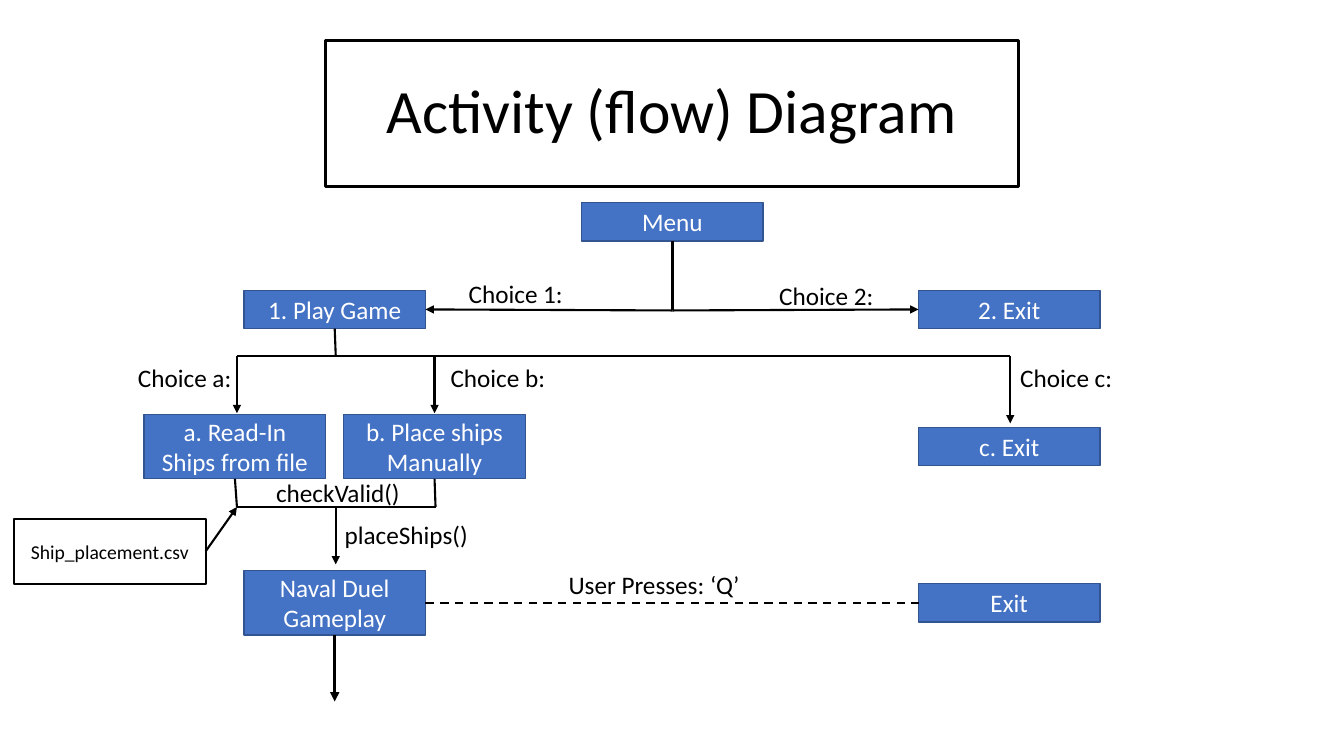
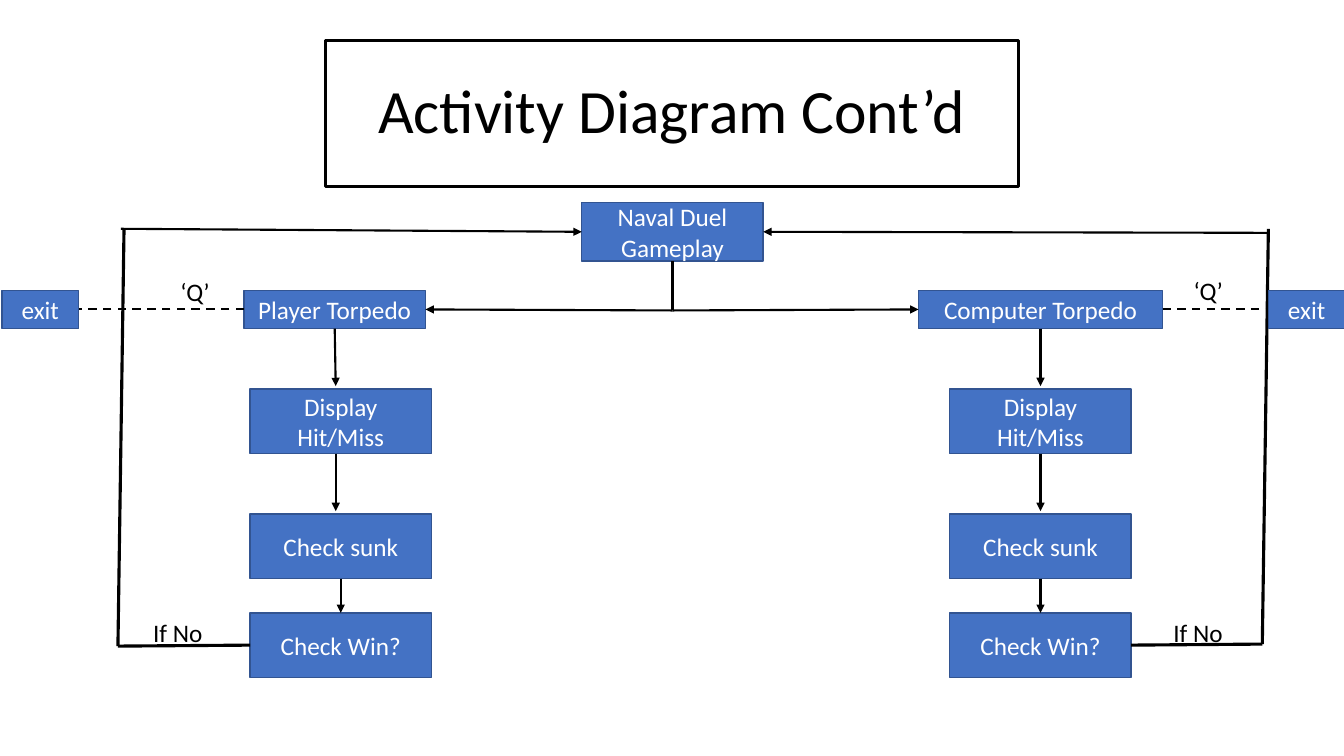
from lxml.etree import SubElement as Sub
from pptx import Presentation
from pptx.dml.color import RGBColor as RGB
from pptx.enum.dml import MSO_LINE as Dash
from pptx.enum.shapes import MSO_CONNECTOR as Conn, MSO_SHAPE as Kind
from pptx.enum.text import MSO_ANCHOR as Anchor, MSO_AUTO_SIZE as Auto, PP_ALIGN as Align
from pptx.oxml.ns import qn
from pptx.util import Inches, Pt

HEX = {"ink": "000000", "fill": "4472C4", "edge": "325491", "pale": "FFFFFF"}
FONT = "Calibri"
WIDE, LOW, TALL = 1.8, 0.38, 0.64  # box width, one-line and two-line heights
TOP, BOTTOM = 0, 2
LEFT, RIGHT = 1, 3
MID = 6.67
FORK = (MID, 3.08)


def tint(name):
    return RGB.from_string(HEX[name])


def style(part, size, color="ink"):
    part.font.name = FONT
    part.font.size = Pt(size)
    part.font.color.rgb = tint(color)


def edge(line, color, width):
    line.color.rgb = tint(color)
    line.width = Pt(width)


# Slide with a framed title
def page(deck, text):
    slide = deck.slides.add_slide(deck.slide_layouts[5])
    title = slide.shapes.title
    title.left, title.top = Inches(3.23), Inches(0.4)
    title.width, title.height = Inches(6.87), Inches(1.45)
    edge(title.line, "ink", 2.25)
    frame = title.text_frame
    frame.text = text
    frame.auto_size = Auto.NONE
    frame.vertical_anchor = Anchor.MIDDLE
    part = frame.paragraphs[0]
    part.alignment = Align.CENTER
    part.line_spacing = 0.9
    style(part, 44)
    return slide


# Step of the flow; a plain one is a white data file
def box(slide, text, x, y, w=WIDE, h=LOW, plain=False):
    shape = slide.shapes.add_shape(Kind.RECTANGLE, Inches(x), Inches(y), Inches(w), Inches(h))
    shape.shadow.inherit = False
    if plain:
        shape.fill.background()
        edge(shape.line, "ink", 1.5)
    else:
        shape.fill.solid()
        shape.fill.fore_color.rgb = tint("fill")
        edge(shape.line, "edge", 1)
    frame = shape.text_frame
    frame.text = text
    frame.word_wrap = True
    frame.vertical_anchor = Anchor.MIDDLE
    part = frame.paragraphs[0]
    part.alignment = Align.CENTER
    style(part, 14 if plain else 18, "ink" if plain else "pale")
    return shape


# Free label beside a line
def label(slide, text, x, y, w):
    note = slide.shapes.add_textbox(Inches(x), Inches(y), Inches(w), Inches(0.4))
    frame = note.text_frame
    frame.text = text
    frame.word_wrap = False
    frame.auto_size = Auto.SHAPE_TO_FIT_TEXT
    style(frame.paragraphs[0], 18)


# Line between two ends; an end is a point (x, y) or a (box, side) pair
def link(slide, start, end, head=False, dash=False, width=1.5):
    ends = [e if isinstance(e[0], (int, float)) else None for e in (start, end)]
    spots = [Inches(v) for e in ends for v in (e or (0, 0))]
    line = slide.shapes.add_connector(Conn.STRAIGHT, *spots)
    if ends[0] is None:
        line.begin_connect(*start)
    if ends[1] is None:
        line.end_connect(*end)
    edge(line.line, "ink", width)
    if dash:
        line.line.dash_style = Dash.DASH
    if head:
        Sub(line.line._get_or_add_ln(), qn("a:tailEnd"), type="triangle")
    Sub(line._element.spPr, qn("a:effectLst"))


# Stem from the top box that parts to both sides
def fork(slide, hub, left, right):
    link(slide, (hub, BOTTOM), FORK)
    link(slide, FORK, (left, RIGHT), head=True)
    link(slide, FORK, (right, LEFT), head=True)


def menu(deck):
    slide = page(deck, "Activity (flow) Diagram")

    # Steps
    hub = box(slide, "Menu", 5.77, 2.01)
    play = box(slide, "1. Play Game", 2.42, 2.88)
    quit = box(slide, "2. Exit", 9.11, 2.88)
    read = box(slide, "a. Read-In Ships from file", 1.43, 4.11, h=TALL)
    place = box(slide, "b. Place ships Manually", 3.41, 4.11, h=TALL)
    box(slide, "c. Exit", 9.11, 4.24)
    game = box(slide, "Naval Duel Gameplay", 2.42, 5.66, h=TALL)
    leave = box(slide, "Exit", 9.11, 5.79)
    data = box(slide, "Ship_placement.csv", 0.14, 5.15, 1.9, plain=True, h=TALL)

    # Choices below the menu and the game
    fork(slide, hub, play, quit)
    rail, join = 3.53, 5.03
    link(slide, (play, BOTTOM), (3.33, rail))
    link(slide, (2.35, rail), (10.02, rail))
    for x, y in ((2.35, 4.1), (4.31, 4.1), (10.02, 4.2)):
        link(slide, (x, rail), (x, y), head=True)

    # Ship set-up leads to the game
    for step, x in ((read, 2.35), (place, 4.32)):
        link(slide, (step, BOTTOM), (x, join))
    link(slide, (2.35, join), (4.32, join))
    link(slide, (3.33, join), (3.33, 5.6), head=True)
    link(slide, (data, RIGHT), (2.35, join), head=True)
    link(slide, (game, RIGHT), (leave, LEFT), dash=True)
    link(slide, (game, BOTTOM), (3.32, 6.96), head=True, width=2.25)

    for text, x, y, w in (
        ("Choice 1:", 4.55, 2.71, 1.15),
        ("Choice 2:", 7.63, 2.73, 1.15),
        ("Choice a:", 1.27, 3.55, 1.14),
        ("Choice b:", 4.37, 3.55, 1.15),
        ("Choice c:", 10.02, 3.55, 1.13),
        ("placeShips()", 3.32, 5.1, 1.44),
        ("checkValid()", 2.64, 4.69, 1.44),
        ("User Presses: ‘Q’", 5.54, 5.6, 1.91),
    ):
        label(slide, text, x, y, w)


# One player's turn: checks going down, then a loop back to the hub
def turn(slide, hub, shot, x, axis, out, side, low, high, back):
    inner = LEFT + RIGHT - side
    show, sunk, win = [
        box(slide, text, x, y, h=TALL)
        for text, y in (("Display Hit/Miss", 3.86), ("Check sunk", 5.1), ("Check Win?", 6.08))
    ]
    link(slide, (shot, BOTTOM), (axis, 3.83), head=True)
    start = (axis, 4.5) if side == LEFT else (show, BOTTOM)
    link(slide, start, (axis, 5.07), head=True)
    link(slide, (sunk, BOTTOM), (win, TOP), head=True)

    link(slide, (win, side), low, width=2.25)
    link(slide, low, high, width=2.25)
    link(slide, back, (hub, side), head=True)

    quit = box(slide, "exit", out, 2.88, 0.76)
    link(slide, (shot, side), (quit, inner), dash=True)


def game(deck):
    slide = page(deck, "Activity Diagram Cont’d")
    hub = box(slide, "Naval Duel Gameplay", 5.77, 2.01, h=0.58)
    left = box(slide, "Player Torpedo", 2.42, 2.88)
    right = box(slide, "Computer Torpedo", 9.11, 2.88, 2.42)
    fork(slide, hub, left, right)
    turn(slide, hub, left, 2.48, 3.33, 0.02, LEFT, (1.17, 6.41), (1.23, 2.28), (1.2, 2.27))
    turn(slide, hub, right, 9.42, 10.32, 12.58, RIGHT, (12.52, 6.39), (12.58, 2.27), (12.58, 2.31))
    for text, x, y, w in (
        ("If No", 1.42, 6.08, 0.7),
        ("If No", 11.54, 6.08, 0.7),
        ("‘Q’", 1.69, 2.69, 0.5),
        ("‘Q’", 11.74, 2.68, 0.5),
    ):
        label(slide, text, x, y, w)


def main():
    deck = Presentation()
    deck.slide_width, deck.slide_height = Inches(13.33), Inches(7.5)
    menu(deck)
    game(deck)
    deck.save("out.pptx")


if __name__ == "__main__":
    main()
